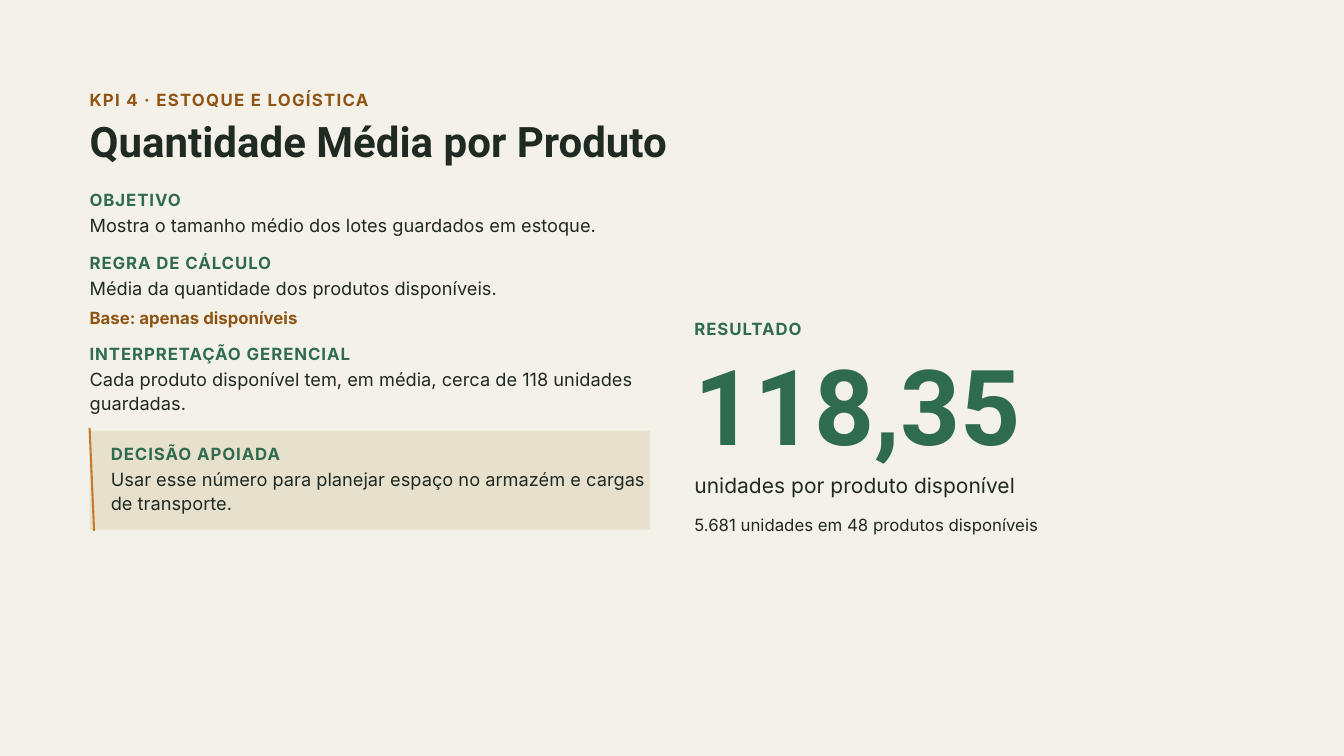
from dataclasses import dataclass
from typing import NamedTuple

from lxml.etree import SubElement
from pptx import Presentation
from pptx.dml.color import RGBColor
from pptx.enum.shapes import MSO_CONNECTOR, MSO_SHAPE
from pptx.enum.text import MSO_ANCHOR, MSO_AUTO_SIZE, PP_ALIGN
from pptx.oxml.ns import qn
from pptx.util import Inches, Pt

COLS, ROWS = 240, 135
WIDTH, HEIGHT = Inches(20), Inches(11.25)


class Box(NamedTuple):
    """Area in grid columns and rows."""
    x: float
    y: float
    w: float
    h: float

    def inner(self, dx, dy, w, h):
        """Return an area offset from this one's top left corner."""
        return Box(self.x + dx, self.y + dy, w, h)

    def emu(self):
        """Return left, top, width and height in slide units."""
        cw, rh = WIDTH / COLS, HEIGHT / ROWS
        return [round(v) for v in (self.x * cw, self.y * rh, self.w * cw, self.h * rh)]


@dataclass(frozen=True)
class Style:
    """Type style; leading is a multiple of the size."""
    size: float
    color: str
    bold: bool = False
    font: str = "Inter"
    leading: float = 1.35
    tracking: float = 0


@dataclass(frozen=True)
class Theme:
    """Colours and type styles of the slide."""
    paper: str = "F4F1E8"
    panel: str = "E7E0CD"
    accent: str = "C8792B"
    kicker: Style = Style(18, "8F5314", True, leading=1.2, tracking=1.4)
    title: Style = Style(45, "1F2A22", True, "Roboto", 1.1)
    label: Style = Style(18, "2F6B4F", True, leading=1.2, tracking=1)
    body: Style = Style(19.5, "1F2A22")
    note: Style = Style(18, "8F5314", True)
    figure: Style = Style(112.5, "2F6B4F", True, "Roboto", 1.15)
    unit: Style = Style(22.5, "1F2A22")
    detail: Style = Style(18, "1F2A22")


THEME = Theme()


def rgb(color):
    """Turn a hex string into a colour."""
    return RGBColor.from_string(color)


def write(sp, text, style):
    """Fill a shape with one styled paragraph and no margins."""
    tf = sp.text_frame
    tf.word_wrap = True
    tf.auto_size = MSO_AUTO_SIZE.NONE
    tf.vertical_anchor = MSO_ANCHOR.TOP
    tf.margin_left = tf.margin_top = tf.margin_right = tf.margin_bottom = 0
    p = tf.paragraphs[0]
    p.alignment = PP_ALIGN.LEFT
    p.line_spacing = Pt(round(style.size * style.leading, 1))
    p.font.name, p.font.size, p.font.bold = style.font, Pt(style.size), style.bold
    p.font.color.rgb = rgb(style.color)
    r = p.add_run()
    r.text = text
    if style.tracking:
        r._r.get_or_add_rPr().set("spc", str(round(style.tracking * 100)))


def add_text(slide, box, text, style):
    """Add a text box."""
    write(slide.shapes.add_textbox(*box.emu()), text, style)


def add_header(slide, box, kicker, title):
    """Place the kicker above the slide title."""
    add_text(slide, box.inner(0, 0, box.w, 4.1), kicker, THEME.kicker)
    sp = slide.shapes.title
    sp.left, sp.top, sp.width, sp.height = box.inner(0, 5.4, box.w, 8.5).emu()
    write(sp, title, THEME.title)


def add_section(slide, box, label, body, note=None):
    """Place a label, its text and an optional note."""
    add_text(slide, box.inner(0, 0, box.w, 4.1), label, THEME.label)
    add_text(slide, box.inner(0, 3.9, box.w, box.h - 3.9), body, THEME.body)
    if note:
        add_text(slide, box.inner(0, 9.4, box.w, 4.9), note, THEME.note)


def add_decision(slide, box, label, body):
    """Place the shaded panel with its slanted accent line."""
    sp = slide.shapes.add_shape(MSO_SHAPE.RECTANGLE, *box.emu())
    sp.shadow.inherit = False
    sp.fill.solid()
    sp.fill.fore_color.rgb = rgb(THEME.panel)
    sp.line.fill.background()
    x, y, w, h = box.inner(0, -0.6, 0.8, box.h + 0.8).emu()
    line = slide.shapes.add_connector(MSO_CONNECTOR.STRAIGHT, x, y, x + w, y + h)
    line.line.color.rgb = rgb(THEME.accent)
    line.line.width = Pt(2.25)
    SubElement(line._element.spPr, qn("a:effectLst"))
    add_section(slide, box.inner(3.8, 2.2, box.w - 4, 13.6), label, body)


def add_result(slide, box, label, figure, unit, detail):
    """Place the headline figure with its label, unit and detail."""
    rows = [
        (0, 4.1, label, THEME.label),
        (4.7, 22.1, figure, THEME.figure),
        (26.8, 6.1, unit, THEME.unit),
        (34.4, 4.9, detail, THEME.detail),
    ]
    for dy, h, text, style in rows:
        add_text(slide, box.inner(0, dy, box.w, h), text, style)


def main():
    """Build and save the slide."""
    prs = Presentation()
    prs.slide_width, prs.slide_height = WIDTH, HEIGHT
    slide = prs.slides.add_slide(prs.slide_layouts[5])
    slide.background.fill.solid()
    slide.background.fill.fore_color.rgb = rgb(THEME.paper)

    add_header(slide, Box(16, 16, 214, 14),
               "KPI 4 · ESTOQUE E LOGÍSTICA", "Quantidade Média por Produto")
    column = Box(16, 33.8, 103, 61)
    add_section(slide, column.inner(0, 0, column.w, 9.3), "OBJETIVO",
                "Mostra o tamanho médio dos lotes guardados em estoque.")
    add_section(slide, column.inner(0, 11.3, column.w, 9.3), "REGRA DE CÁLCULO",
                "Média da quantidade dos produtos disponíveis.",
                "Base: apenas disponíveis")
    add_section(slide, column.inner(0, 27.5, column.w, 13.6), "INTERPRETAÇÃO GERENCIAL",
                "Cada produto disponível tem, em média, cerca de 118 unidades guardadas.")
    add_decision(slide, column.inner(0, 43.2, 100, 17.6), "DECISÃO APOIADA",
                 "Usar esse número para planejar espaço no armazém e cargas de transporte.")
    add_result(slide, Box(124, 57, 103, 39.3), "RESULTADO", "118,35",
               "unidades por produto disponível",
               "5.681 unidades em 48 produtos disponíveis")
    prs.save("out.pptx")


if __name__ == "__main__":
    main()
